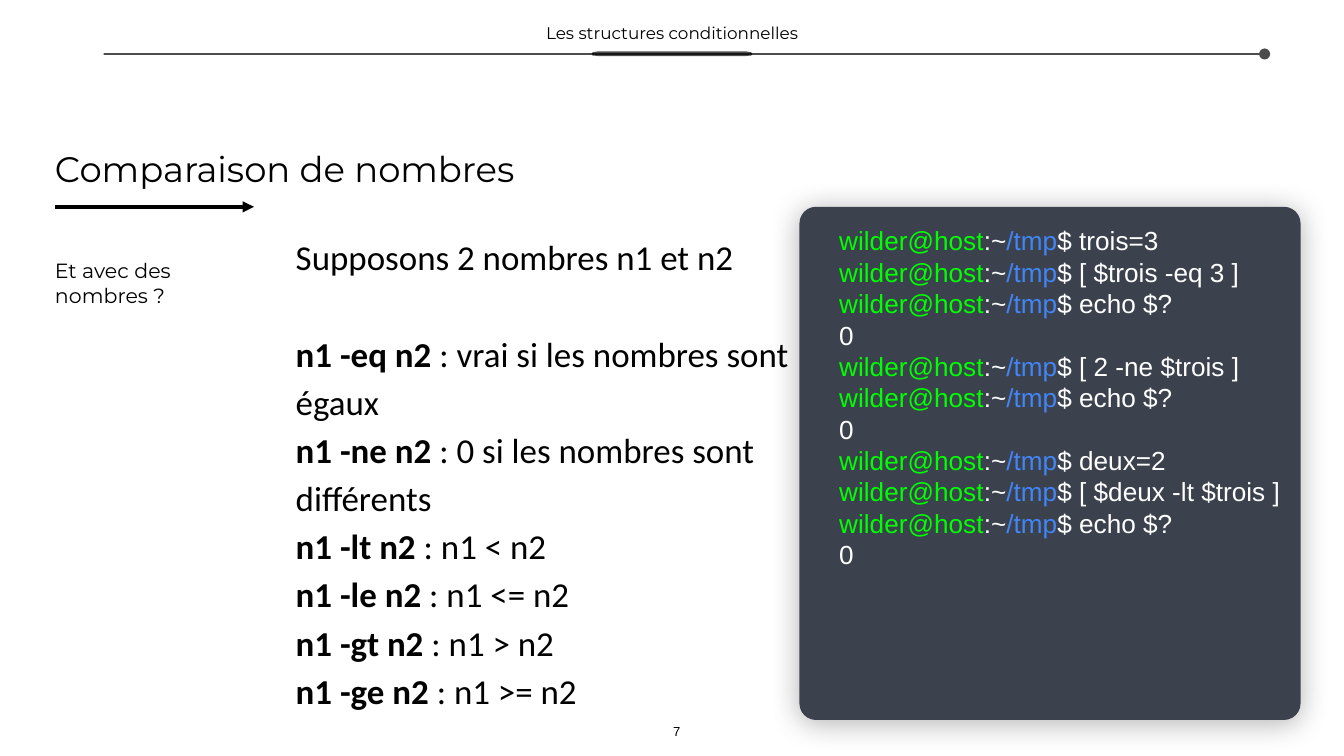
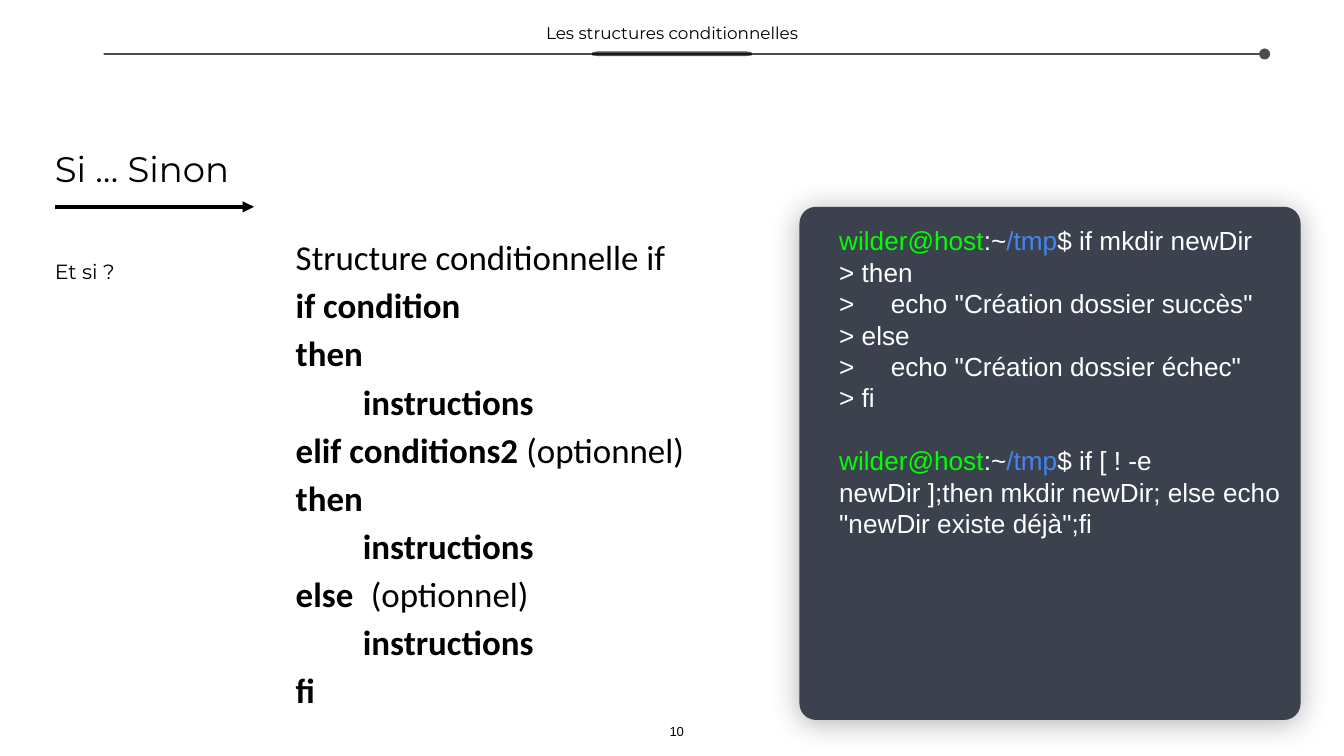
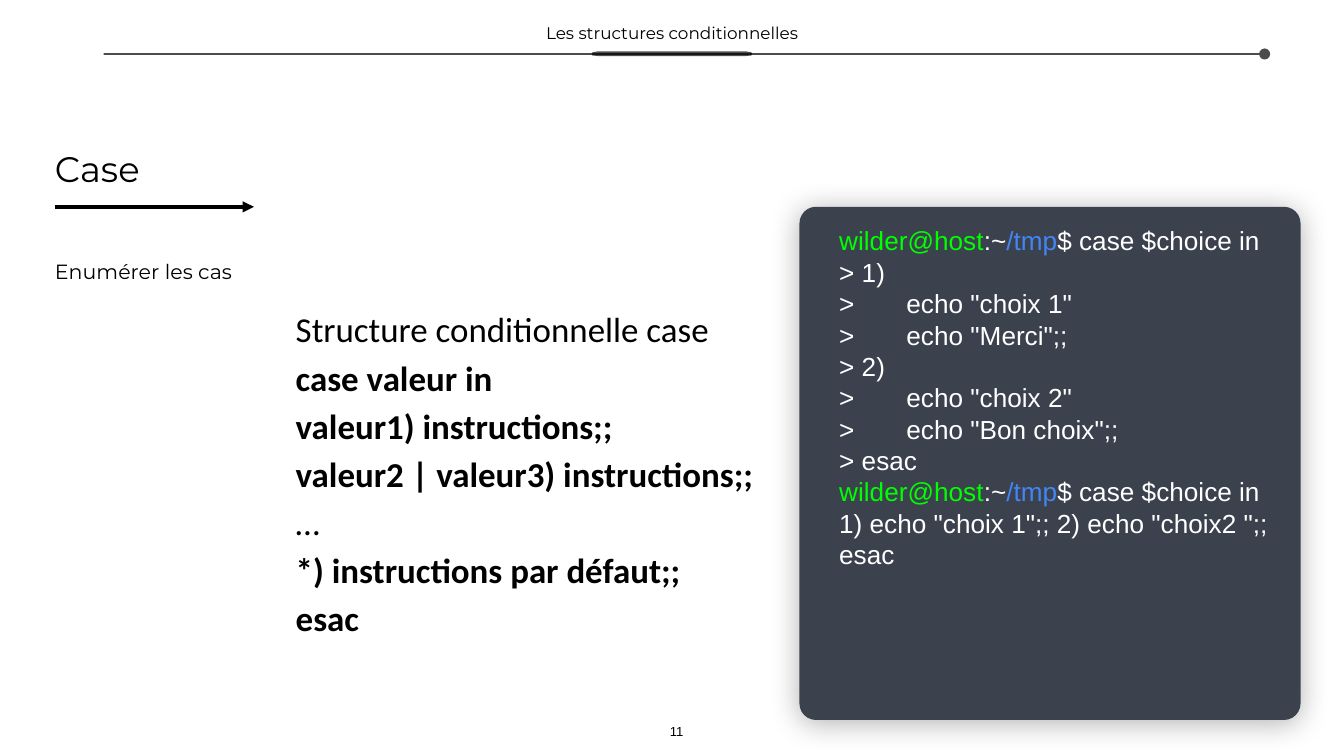
"""Build three slides on conditional structures in shell scripts."""
from lxml.etree import SubElement
from pptx import Presentation
from pptx.dml.color import RGBColor
from pptx.enum.shapes import MSO_CONNECTOR, MSO_SHAPE
from pptx.enum.text import MSO_ANCHOR, MSO_AUTO_SIZE, PP_ALIGN
from pptx.oxml.ns import qn
from pptx.util import Cm, Pt

BLACK = RGBColor(0x00, 0x00, 0x00)
WHITE = RGBColor(0xFF, 0xFF, 0xFF)
SLATE = RGBColor(0x3B, 0x42, 0x4E)
GREEN = RGBColor(0x00, 0xFF, 0x00)
BLUE = RGBColor(0x42, 0x85, 0xF4)

PROMPT = [("wilder@host", GREEN), (":~", WHITE), ("/tmp", BLUE)]
LINES = [
    ((1.04, 3.91), (4.8, 3.91), 2, 100, "triangle"),
    ((1.96, 1.02), (23.9, 1.02), 1, 70, "oval"),
]
PILL = [(11.18, 1.02), (11.2, 0.99), (11.31, 0.97), (14.09, 0.97), (14.2, 0.99),
        (14.22, 1.02), (14.2, 1.05), (14.09, 1.06), (11.31, 1.06), (11.2, 1.05)]

PAGES = [
    {
        "number": "7",
        "title": "Comparaison de nombres",
        "title_width": 10.64,
        "question": "Et avec des nombres ?",
        "question_height": 1.04,
        "body": [
            ("", "Supposons 2 nombres n1 et n2"),
            ("n1 -eq n2 ", ": vrai si les nombres sont égaux"),
            ("n1 -ne n2 ", ": 0 si les nombres sont différents"),
            ("n1 -lt n2", " : n1 < n2"),
            ("n1 -le n2", " : n1 <= n2"),
            ("n1 -gt n2", " : n1 > n2"),
            ("n1 -ge n2", " : n1 >= n2"),
        ],
        "body_gap": 1,
        "terminal": [
            "$ trois=3", "$ [ $trois -eq 3 ]", "$ echo $?", "0",
            "$ [ 2 -ne $trois ]", "$ echo $?", "0",
            "$ deux=2", "$ [ $deux -lt $trois ]", "$ echo $?", "0",
        ],
        "terminal_gap": None,
    },
    {
        "number": "10",
        "title": "Si … Sinon",
        "title_width": 21.11,
        "question": "Et si ?",
        "question_height": 0.58,
        "body": [
            ("", "Structure conditionnelle if"),
            ("if condition", ""),
            ("then", ""),
            ("\tinstructions", ""),
            ("elif conditions2", " (optionnel)"),
            ("then", ""),
            ("\tinstructions", ""),
            ("else\t ", "(optionnel)"),
            ("\tinstructions", ""),
            ("fi", ""),
        ],
        "body_gap": None,
        "terminal": [
            "$ if mkdir newDir",
            "> then",
            '>     echo "Création dossier succès"',
            "> else",
            '>     echo "Création dossier échec"',
            "> fi",
            '$ if [ ! -e newDir ];then mkdir newDir; else echo "newDir existe déjà";fi',
        ],
        "terminal_gap": 6,
    },
    {
        "number": "11",
        "title": "Case",
        "title_width": 21.11,
        "question": "Enumérer les cas",
        "question_height": 0.58,
        "body": [
            ("", "Structure conditionnelle case"),
            ("case valeur in", ""),
            ("valeur1) instructions;;", ""),
            ("valeur2 | valeur3) instructions;;", ""),
            ("", "…"),
            ("*) instructions par défaut;;", ""),
            ("esac", ""),
        ],
        "body_gap": None,
        "terminal": [
            "$ case $choice in",
            "> 1)",
            '> \techo "choix 1"',
            '>\techo "Merci";;',
            "> 2)",
            '>\techo "choix 2"',
            '>\techo "Bon choix";;',
            "> esac",
            '$ case $choice in 1) echo "choix 1";; 2) echo "choix2 ";; esac',
        ],
        "terminal_gap": None,
    },
]


def write(para, text, size=14, font="Arial", color=BLACK, bold=False):
    if text:
        span = para.add_run()
        span.text = text
        span.font.size = Pt(size)
        span.font.name = font
        span.font.bold = bold
        span.font.color.rgb = color


def set_frame(box, margins, anchor):
    frame = box.text_frame
    frame.word_wrap = True
    frame.vertical_anchor = anchor
    frame.margin_left, frame.margin_top, frame.margin_right, frame.margin_bottom = map(Cm, margins)
    return frame


deck = Presentation()
deck.slide_width, deck.slide_height = Cm(25.4), Cm(14.29)

for content in PAGES:
    page = deck.slides.add_slide(deck.slide_layouts[6])

    for start, end, width, opacity, head in LINES:
        line = page.shapes.add_connector(MSO_CONNECTOR.STRAIGHT, *map(Cm, start + end))
        line.line.color.rgb = BLACK
        line.line.width = Pt(width)
        properties = line._element.spPr
        color = properties.find(".//" + qn("a:srgbClr"))
        SubElement(color, qn("a:alpha"), val=str(opacity * 1000))
        SubElement(properties.find(qn("a:ln")), qn("a:tailEnd"), type=head)
        SubElement(properties, qn("a:effectLst"))

    labels = [
        (content["title"], (0.99, 2.72, content["title_width"], 0.91),
         19, "Montserrat", PP_ALIGN.LEFT, MSO_ANCHOR.MIDDLE),
        (content["question"], (0.99, 4.83, 3.66, content["question_height"]),
         11, "Montserrat", PP_ALIGN.LEFT, MSO_ANCHOR.MIDDLE),
        (content["number"], (12.5, 13.61, 0.58, 0.41),
         7, "Arial", PP_ALIGN.CENTER, MSO_ANCHOR.BOTTOM),
        ("Les structures conditionnelles", (9.17, 0.38, 7.06, 0.48),
         9, "Montserrat", PP_ALIGN.CENTER, MSO_ANCHOR.MIDDLE),
    ]
    for text, place, size, font, alignment, anchor in labels:
        box = page.shapes.add_textbox(*map(Cm, place))
        frame = set_frame(box, [0.05] * 4, anchor)
        frame.auto_size = MSO_AUTO_SIZE.SHAPE_TO_FIT_TEXT
        frame.paragraphs[0].alignment = alignment
        write(frame.paragraphs[0], text, size=size, font=font)

    body = page.shapes.add_textbox(Cm(5.49), Cm(4.04), Cm(9.65), Cm(9.7))
    frame = set_frame(body, [0.1] * 4, MSO_ANCHOR.MIDDLE)
    for index, (strong, plain) in enumerate(content["body"]):
        para = frame.add_paragraph() if index else frame.paragraphs[0]
        para.line_spacing = 1.15
        if index == content["body_gap"]:
            para.space_before = Pt(26)
        write(para, strong, size=18.7, font="Calibri", bold=True)
        write(para, plain, size=18.7, font="Calibri")

    terminal = page.shapes.add_shape(
        MSO_SHAPE.ROUNDED_RECTANGLE, Cm(15.11), Cm(3.91), Cm(9.47), Cm(9.7))
    terminal.adjustments[0] = 0.033
    terminal.fill.solid()
    terminal.fill.fore_color.rgb = SLATE
    terminal.line.fill.background()
    terminal.shadow.inherit = False
    effects = terminal._element.spPr.find(qn("a:effectLst"))
    shadow = SubElement(effects, qn("a:outerShdw"), blurRad=str(Pt(15.8)),
                        dist=str(Pt(1.5)), dir="5400000", algn="bl", rotWithShape="0")
    shade = SubElement(shadow, qn("a:srgbClr"), val=str(BLACK))
    SubElement(shade, qn("a:alpha"), val="30000")
    frame = set_frame(terminal, [0.66, 0.25, 0.25, 0.25], MSO_ANCHOR.TOP)
    for index, command in enumerate(content["terminal"]):
        para = frame.add_paragraph() if index else frame.paragraphs[0]
        para.alignment = PP_ALIGN.LEFT
        if index == content["terminal_gap"]:
            para.space_before = Pt(17)
        if command.startswith("$"):
            for text, color in PROMPT:
                write(para, text, color=color)
        write(para, command, color=WHITE)

    corners = [(Cm(x), Cm(y)) for x, y in PILL]
    outline = page.shapes.build_freeform(*corners[0])
    outline.add_line_segments(corners[1:], close=True)
    pill = outline.convert_to_shape()
    pill.shadow.inherit = False
    pill.fill.solid()
    pill.fill.fore_color.rgb = BLACK
    pill.line.fill.background()
    color = pill._element.spPr.find(qn("a:solidFill")).find(qn("a:srgbClr"))
    SubElement(color, qn("a:alpha"), val="69000")

deck.save("out.pptx")
